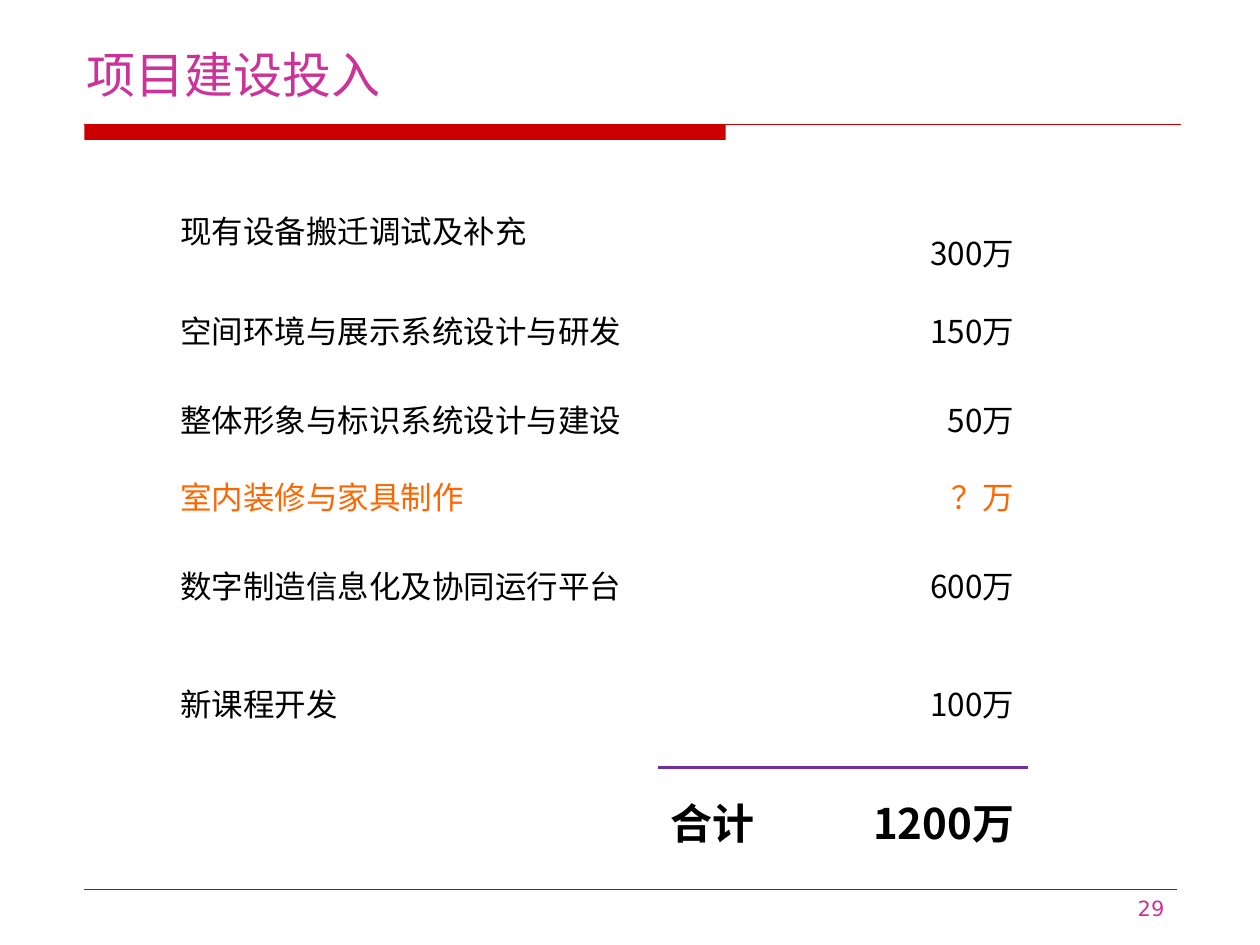
from lxml import etree
from pptx import Presentation
from pptx.dml.color import RGBColor
from pptx.enum.shapes import MSO_CONNECTOR, MSO_SHAPE
from pptx.enum.text import MSO_ANCHOR, PP_ALIGN
from pptx.oxml.ns import qn
from pptx.util import Inches, Pt

LEFT, RIGHT = PP_ALIGN.LEFT, PP_ALIGN.RIGHT
MIDDLE, BOTTOM = MSO_ANCHOR.MIDDLE, MSO_ANCHOR.BOTTOM
STRAIGHT, RECTANGLE = MSO_CONNECTOR.STRAIGHT, MSO_SHAPE.RECTANGLE

THEME = {
    "cjk": "Noto Sans CJK SC", "latin": "DejaVu Sans",
    "heading": "CC3399", "rule": "CC0000", "text": "000000",
    "pending": "FF6600", "grid": "FFFFFF", "sum_line": "7030A0",
    "title_size": 28, "body_size": 18, "total_size": 24, "page_size": 12,
}

TITLE = "项目建设投入"
PAGE = "29"
# item, amount, row height, colour
ITEMS = [
    ("现有设备搬迁调试及补充", "300万", 0.84, "text"),
    ("空间环境与展示系统设计与研发", "150万", 0.76, "text"),
    ("整体形象与标识系统设计与建设", "50万", 0.65, "text"),
    ("室内装修与家具制作", "？万", 0.57, "pending"),
    ("数字制造信息化及协同运行平台", "600万", 0.85, "text"),
    ("新课程开发", "100万", 1.02, "text"),
]
TOTAL = ("合计", "1200万", 0.85)
COLUMNS = (3.89, 1.05, 1.88)
FIRST_AMOUNT_DROP = 0.41


def color(name):
    return RGBColor.from_string(THEME[name])


def write(frame, text, size, color_name, font="cjk", align=LEFT, bold=False):
    paragraph = frame.paragraphs[0]
    paragraph.text = text
    paragraph.alignment = align
    paragraph.font.name = THEME[font]
    paragraph.font.size = Pt(THEME[size])
    paragraph.font.bold = bold
    paragraph.font.color.rgb = color(color_name)
    for run in paragraph.runs:
        east_asian = etree.SubElement(run._r.get_or_add_rPr(), qn("a:ea"))
        east_asian.set("typeface", THEME[font])


def add_rule(slide, left, right, y, width):
    rule = slide.shapes.add_connector(
        STRAIGHT, Inches(left), Inches(y), Inches(right), Inches(y))
    rule.line.color.rgb = color("rule")
    rule.line.width = Pt(width)
    etree.SubElement(rule._element.spPr, qn("a:effectLst"))


def set_borders(cell, sum_side=None):
    """Draw thin grid borders, with the heavy sum line on one side if named."""
    properties = cell._tc.get_or_add_tcPr()
    for position, side in enumerate("LRTB"):
        name, width = ("sum_line", 2.25) if side == sum_side else ("grid", 1)
        border = etree.Element(qn(f"a:ln{side}"), w=str(Pt(width)))
        fill = etree.SubElement(border, qn("a:solidFill"))
        etree.SubElement(fill, qn("a:srgbClr"), val=THEME[name])
        properties.insert(position, border)


def add_budget(slide):
    heights = [item[2] for item in ITEMS] + [TOTAL[2]]
    table = slide.shapes.add_table(
        len(heights), len(COLUMNS), Inches(1.33), Inches(1.4),
        Inches(sum(COLUMNS)), Inches(sum(heights))).table
    table.first_row = table.horz_banding = False
    for column, width in zip(table.columns, COLUMNS):
        column.width = Inches(width)
    for row, height in zip(table.rows, heights):
        row.height = Inches(height)

    total_row = len(ITEMS)
    for r in range(len(heights)):
        for c in range(len(COLUMNS)):
            cell = table.cell(r, c)
            cell.vertical_anchor = MIDDLE
            cell.fill.background()
            sum_side = {total_row - 1: "B", total_row: "T"}.get(r) if c else None
            set_borders(cell, sum_side)

    for r, (item, amount, _, color_name) in enumerate(ITEMS):
        table.cell(r, 0).merge(table.cell(r, 1))
        write(table.cell(r, 0).text_frame, item, "body_size", color_name)
        write(table.cell(r, 2).text_frame, amount, "body_size", color_name,
              align=RIGHT)
    table.cell(0, 2).margin_top = Inches(FIRST_AMOUNT_DROP)

    label, amount, _ = TOTAL
    for c, text, align in ((1, label, LEFT), (2, amount, RIGHT)):
        write(table.cell(total_row, c).text_frame, text, "total_size", "text",
              align=align, bold=True)


def main():
    prs = Presentation()
    prs.slide_width, prs.slide_height = Inches(10), Inches(7.5)
    slide = prs.slides.add_slide(prs.slide_layouts[5])

    bar = slide.shapes.add_shape(
        RECTANGLE, Inches(0.67), Inches(0.99), Inches(5.09), Inches(0.12))
    bar.shadow.inherit = False
    bar.fill.solid()
    bar.fill.fore_color.rgb = color("rule")
    bar.line.fill.background()
    add_rule(slide, 0.67, 9.37, 0.99, 0.75)
    add_rule(slide, 0.67, 9.34, 7.06, 0.25)

    title = slide.shapes.title
    title.left, title.top = Inches(0.59), Inches(0.28)
    title.width, title.height = Inches(6.93), Inches(0.59)
    title.text_frame.vertical_anchor = BOTTOM
    write(title.text_frame, TITLE, "title_size", "heading")

    add_budget(slide)

    page = slide.shapes.add_textbox(
        Inches(7.17), Inches(7.06), Inches(2.17), Inches(0.29))
    page.text_frame.word_wrap = True
    write(page.text_frame, PAGE, "page_size", "heading", font="latin", align=RIGHT)

    prs.save("out.pptx")


if __name__ == "__main__":
    main()
